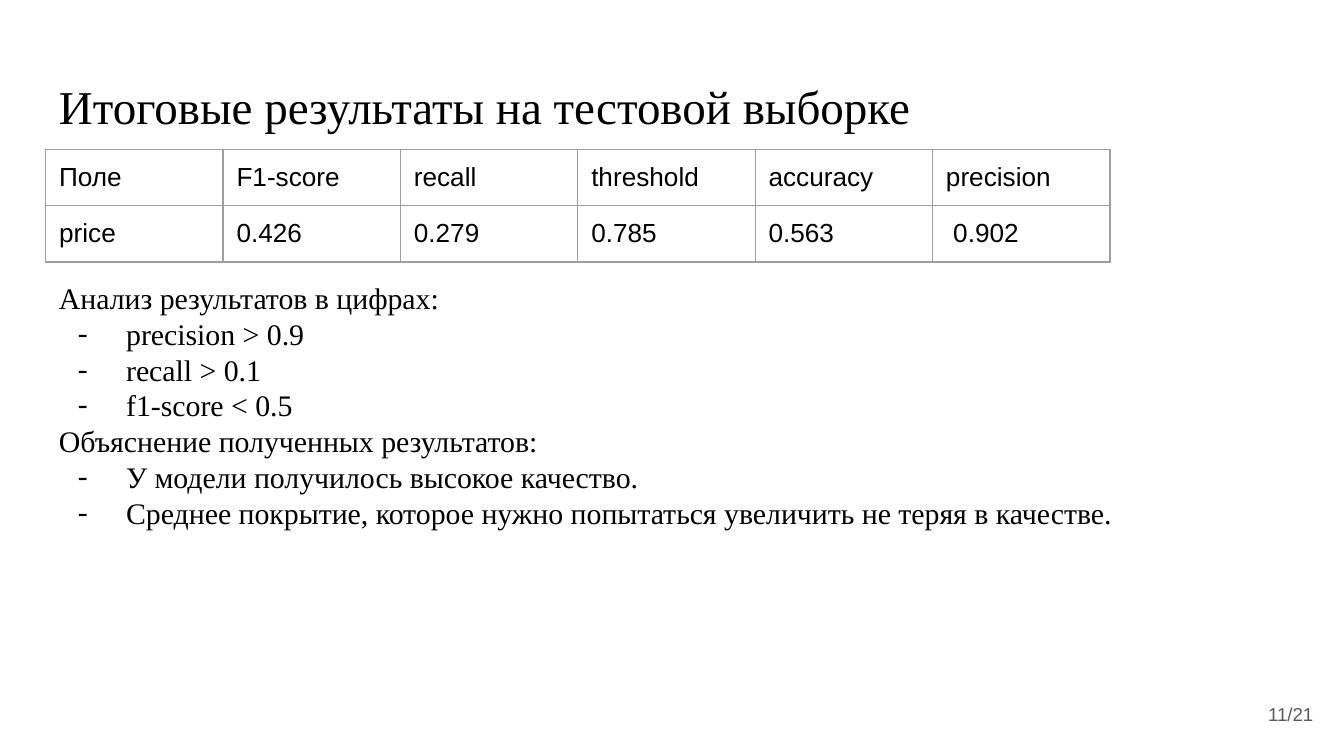
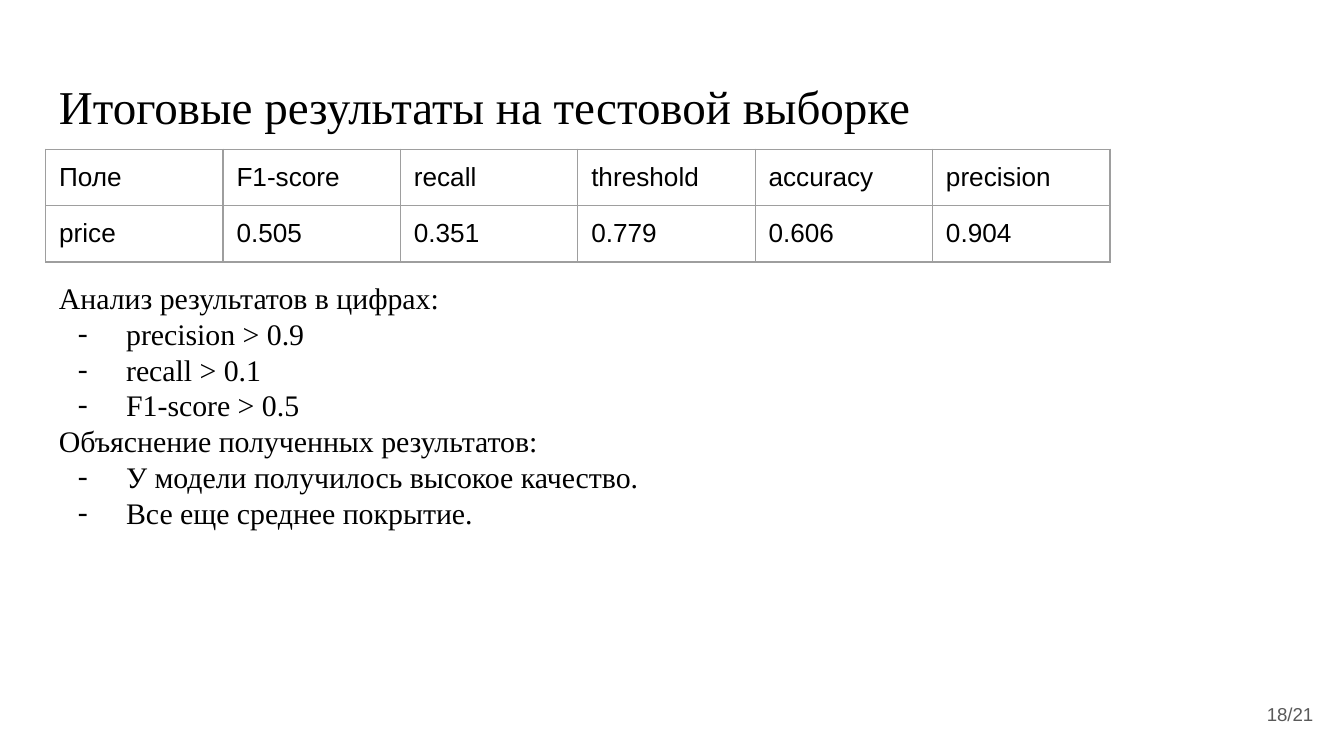
"""Builds two slides of test-sample results: a score table with a short analysis."""
from lxml import etree
from pptx import Presentation
from pptx.dml.color import RGBColor
from pptx.enum import text as t
from pptx.oxml.ns import qn
from pptx.util import Inches, Pt

BLACK = RGBColor(0x00, 0x00, 0x00)
GREY = RGBColor(0x59, 0x59, 0x59)
RULE = RGBColor(0x9E, 0x9E, 0x9E)
SERIF, SANS = "Times New Roman", "Arial"
LEFT, PAD = 0.34, Inches(0.1)
COL, ROW, SIDE = 1.32, 0.42, 3.28
TITLE = "Итоговые результаты на тестовой выборке"
HEAD = ["Поле", "F1-score", "recall", "threshold", "accuracy", "precision"]

PAGES = [
    ("11/21", ["price", "0.426", "0.279", "0.785", "0.563", " 0.902"], (8.92, 2.09),
     "f1-score < 0.5",
     "Среднее покрытие, которое нужно попытаться увеличить не теряя в качестве."),
    ("18/21", ["price", "0.505", "0.351", "0.779", "0.606", "0.904"], (9.32, 3.02),
     "F1-score > 0.5",
     "Все еще среднее покрытие."),
]


def add_run(para, words, size, font, color=BLACK):
    run = para.add_run()
    run.text = words
    run.font.size = Pt(size)
    run.font.name = font
    run.font.color.rgb = color


def add_box(slide, left, top, width, height):
    box = slide.shapes.add_textbox(Inches(left), Inches(top), Inches(width), Inches(height))
    frame = box.text_frame
    frame.word_wrap = True
    frame.margin_left = frame.margin_right = PAD
    frame.margin_top = frame.margin_bottom = PAD
    return frame


prs = Presentation()
prs.slide_width, prs.slide_height = Inches(10), Inches(10 * 9 / 16)

for page, scores, size, score, cover in PAGES:
    slide = prs.slides.add_slide(prs.slide_layouts[6])

    title = add_box(slide, LEFT, 0.48, 9.32, 0.63)
    add_run(title.paragraphs[0], TITLE, 25.2, SERIF)

    rows = [HEAD, scores]
    table = slide.shapes.add_table(
        len(rows), len(HEAD), Inches(LEFT), Inches(1.11), Inches(SIDE), Inches(SIDE)).table
    table.first_row = table.horz_banding = False
    for col in table.columns:
        col.width = Inches(COL)
    for y, row in enumerate(rows):
        table.rows[y].height = Inches(ROW)
        for x, words in enumerate(row):
            cell = table.cell(y, x)
            cell.margin_left = cell.margin_right = cell.margin_top = PAD
            cell.margin_bottom = Inches(0.08)
            add_run(cell.text_frame.paragraphs[0], words, 14, SANS)
            props = cell._tc.get_or_add_tcPr()
            for side in ("lnL", "lnR", "lnT", "lnB"):
                line = etree.SubElement(props, qn("a:" + side), w=str(Pt(0.75)))
                fill = etree.SubElement(line, qn("a:solidFill"))
                etree.SubElement(fill, qn("a:srgbClr"), val=str(RULE))
            cell.fill.background()

    body = add_box(slide, LEFT, 1.98, *size)
    groups = [
        ("Анализ результатов в цифрах:", ["precision > 0.9", "recall > 0.1", score]),
        ("Объяснение полученных результатов:",
         ["У модели получилось высокое качество.", cover]),
    ]
    lines = []
    for lead, items in groups:
        lines += [(lead, False)] + [(item, True) for item in items]
    for i, (words, dash) in enumerate(lines):
        para = body.add_paragraph() if i else body.paragraphs[0]
        add_run(para, words, 16, SERIF)
        if dash:
            props = para._p.get_or_add_pPr()
            props.set("marL", str(Inches(0.5)))
            props.set("indent", str(Inches(-0.36)))
            tint = etree.SubElement(props, qn("a:buClr"))
            etree.SubElement(tint, qn("a:srgbClr"), val=str(BLACK))
            etree.SubElement(props, qn("a:buFont"), typeface=SERIF)
            etree.SubElement(props, qn("a:buChar"), char="-")

    foot = add_box(slide, 9.27, 5.1, 0.6, 0.43)
    foot.vertical_anchor = t.MSO_ANCHOR.MIDDLE
    foot.paragraphs[0].alignment = t.PP_ALIGN.RIGHT
    add_run(foot.paragraphs[0], page, 10, SANS, GREY)

prs.save("out.pptx")
